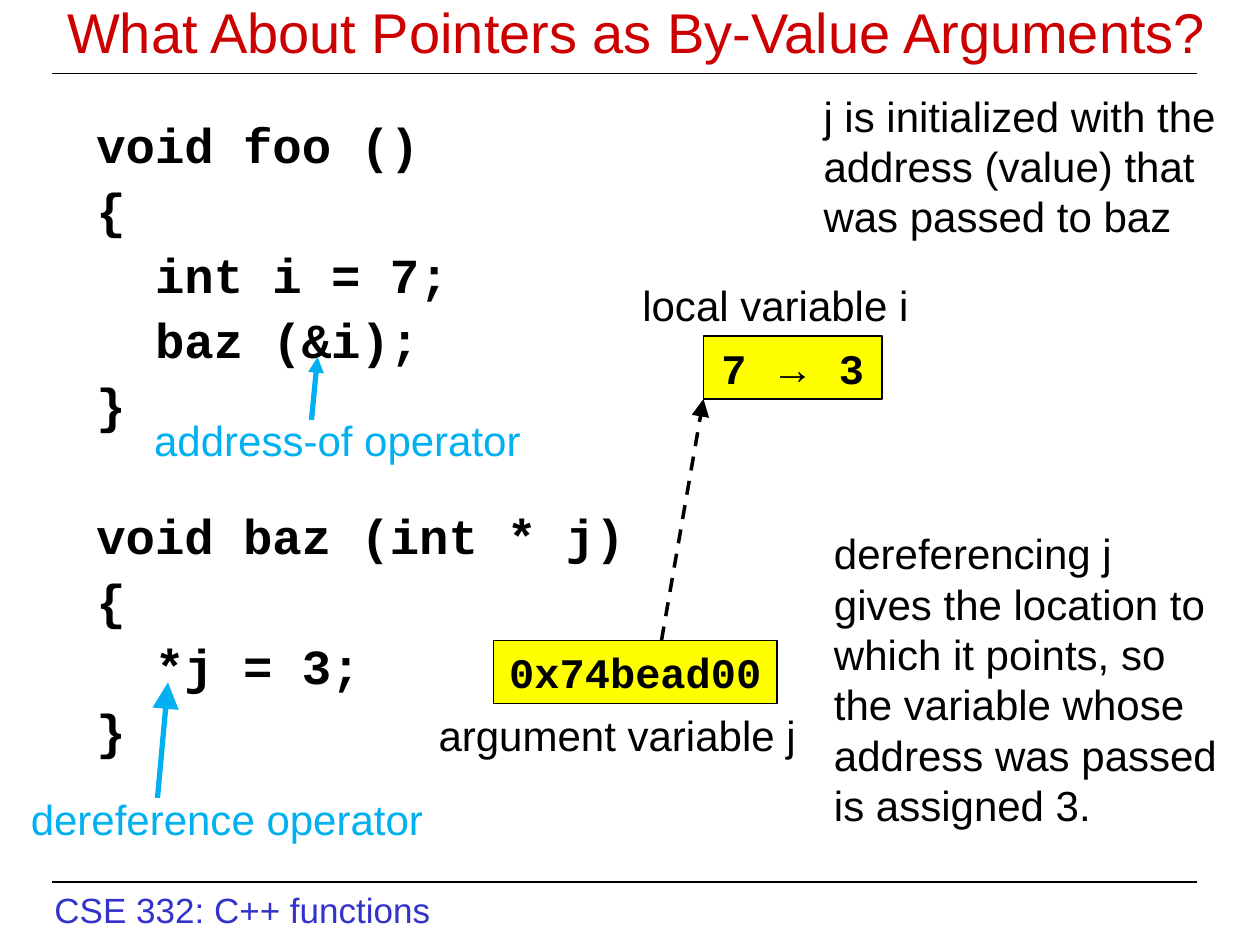
import dataclasses

import pptx
import pptx.dml.color
import pptx.enum.dml
import pptx.enum.shapes
import pptx.enum.text
import pptx.oxml
import pptx.oxml.ns
import pptx.util

Pt = pptx.util.Pt
Align = pptx.enum.text.PP_ALIGN
Anchor = pptx.enum.text.MSO_ANCHOR


@dataclasses.dataclass(frozen=True)
class Theme:
    black: str = "000000"
    red: str = "CC0000"
    blue: str = "3333CC"
    sky: str = "00B0F0"
    yellow: str = "FFFF00"
    sans: str = "Arial"
    mono: str = "Courier New"
    title_size: float = 32
    code_size: float = 28
    body_size: float = 24
    footer_size: float = 20
    thin: float = 0.75


THEME = Theme()


def rgb(code):
    return pptx.dml.color.RGBColor.from_string(code)


def style_font(font, name, size, color, bold=False):
    font.name = name
    font.size = Pt(size)
    font.color.rgb = rgb(color)
    font.bold = bold


def add_text(page, box, lines, size=THEME.body_size, color=THEME.black,
             name=THEME.sans, bold=False, align=Align.LEFT, anchor=Anchor.TOP):
    """Place one paragraph per line and return the text frame."""
    frame = page.shapes.add_textbox(*map(Pt, box)).text_frame
    frame.word_wrap = True
    frame.vertical_anchor = anchor
    frame.text = "\n".join(lines)
    for para in frame.paragraphs:
        para.alignment = align
        for span in para.runs:
            style_font(span.font, name, size, color, bold)
    return frame


def add_line(page, start, end, color=THEME.black, width=THEME.thin,
             head=None, dashed=False):
    """Draw a line; head is the arrowhead size ("med" or "lg") at its end."""
    line = page.shapes.add_connector(
        pptx.enum.shapes.MSO_CONNECTOR.STRAIGHT, *map(Pt, start + end))
    line.line.color.rgb = rgb(color)
    line.line.width = Pt(width)
    if dashed:
        line.line.dash_style = pptx.enum.dml.MSO_LINE.DASH
    if head:
        tail = pptx.oxml.parse_xml(
            f'<a:tailEnd {pptx.oxml.ns.nsdecls("a")} type="triangle" '
            f'w="{head}" len="{head}"/>')
        line.line._get_or_add_ln().append(tail)
    line._element.spPr.append(
        pptx.oxml.parse_xml(f'<a:effectLst {pptx.oxml.ns.nsdecls("a")}/>'))


def add_code(page, box, lines):
    frame = add_text(page, box, lines, THEME.code_size, name=THEME.mono, bold=True)
    for index, para in enumerate(frame.paragraphs):
        para.line_spacing = 0.9
        para.space_before = Pt(7 if index else 0)


def add_memory_cell(page, box, parts):
    """Draw a yellow box holding (text, font name) parts on one line."""
    cell = page.shapes.add_shape(
        pptx.enum.shapes.MSO_SHAPE.RECTANGLE, *map(Pt, box))
    cell.shadow.inherit = False
    cell.fill.solid()
    cell.fill.fore_color.rgb = rgb(THEME.yellow)
    cell.line.color.rgb = rgb(THEME.black)
    cell.line.width = Pt(THEME.thin)
    frame = cell.text_frame
    frame.word_wrap = False
    frame.vertical_anchor = Anchor.MIDDLE
    para = frame.paragraphs[0]
    para.alignment = Align.CENTER
    for text, name in parts:
        span = para.add_run()
        span.text = text
        style_font(span.font, name, THEME.body_size, THEME.black, True)


def add_frame(page, left, right):
    """Place the title, the footer and the rule beside each."""
    add_text(page, (4, -12, 720, 60),
             ["What About Pointers as By-Value Arguments?"],
             THEME.title_size, THEME.red, align=Align.CENTER, anchor=Anchor.MIDDLE)
    for top in (42, 504):
        add_line(page, (left, top), (right, top))
    add_text(page, (24, 504, 240, 32), ["CSE 332: C++ functions"],
             THEME.footer_size, THEME.blue)


def add_listing(page, left, top):
    """Place both functions and point out their operators."""
    add_code(page, (left, top, 250, 190),
             ["void foo ()", "{", "  int i = 7;", "  baz (&i);", "}"])
    add_code(page, (left, top + 223.5, 330, 155),
             ["void baz (int * j)", "{", "  *j = 3;", "}"])
    add_line(page, (178, 240), (181.5, 204), THEME.sky, 3, "med")
    add_text(page, (81, 233.5, 235, 36), ["address-of operator"], color=THEME.sky)
    add_line(page, (90, 456), (96, 390), THEME.sky, 3, "lg")
    add_text(page, (10.5, 450, 250, 36), ["dereference operator"], color=THEME.sky)


def add_memory(page):
    """Place the local variable, the argument and the pointer between them."""
    add_text(page, (360, 156, 180, 36), ["local variable i"])
    add_memory_cell(page, (402, 192, 102, 36),
                    [("7 ", THEME.mono), ("→", THEME.sans), (" 3", THEME.mono)])
    add_memory_cell(page, (282, 366, 162, 36), [("0x74bead00", THEME.mono)])
    add_text(page, (243.5, 402, 226, 36), ["argument variable j"])
    add_line(page, (378, 366), (402, 228), width=2, head="lg", dashed=True)


def add_notes(page):
    add_text(page, (463.5, 48, 254, 94),
             ["j is initialized with the", "address (value) that",
              "was passed to baz"])
    add_text(page, (469.5, 298, 246, 180),
             ["dereferencing j", "gives the location to", "which it points, so",
              "the variable whose", "address was passed", "is assigned 3."])


def main():
    deck = pptx.Presentation()
    deck.slide_width, deck.slide_height = Pt(720), Pt(540)
    page = deck.slides.add_slide(deck.slide_layouts[6])
    add_frame(page, 30, 684)
    add_listing(page, 48, 65.5)
    add_memory(page)
    add_notes(page)
    deck.save("out.pptx")


if __name__ == "__main__":
    main()
